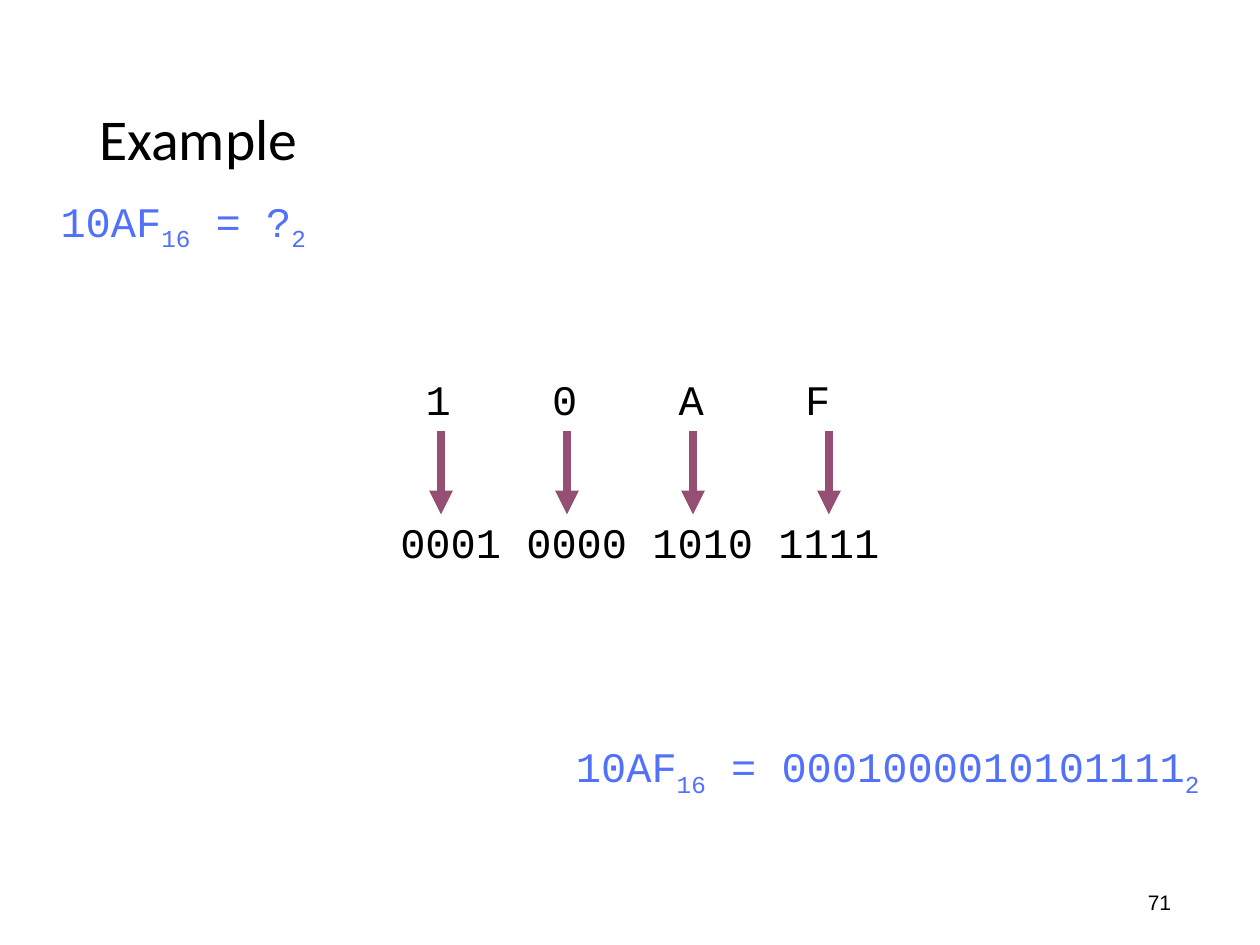
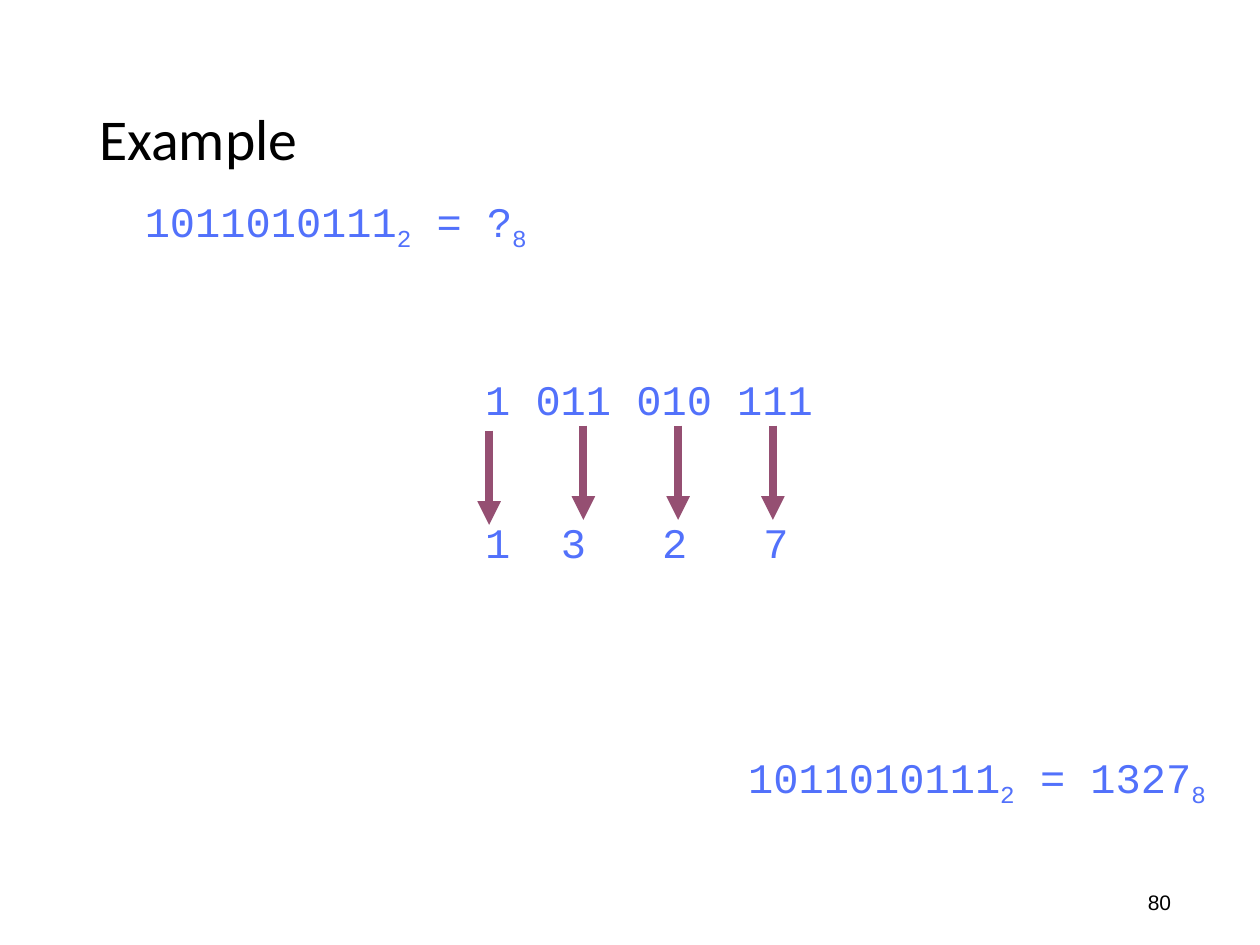
from lxml import etree
from pptx import Presentation
from pptx import util as u
from pptx.dml.color import RGBColor
from pptx.enum import shapes, text
from pptx.oxml import ns

BLACK, BLUE, PLUM = "000000", "5271FB", "954F72"
MONO = "Courier New"
CHAR_WIDTH = 0.51
CENTER, RIGHT = text.PP_ALIGN.CENTER, text.PP_ALIGN.RIGHT


def rgb(color):
    """Turn a hex string into a colour."""
    return RGBColor.from_string(color)


def add_box(slide, left, top, width, height, wrap=True):
    """Add an empty text box, measured in centimetres, and return its frame."""
    sp = slide.shapes.add_textbox(u.Cm(left), u.Cm(top), u.Cm(width), u.Cm(height))
    tf = sp.text_frame
    tf.word_wrap = wrap
    return tf


def add_run(p, content, size=24, font=MONO, color=BLUE, subscript=False):
    """Append one styled run to a paragraph."""
    r = p.add_run()
    r.text = content
    r.font.size = u.Pt(size)
    r.font.name = font
    r.font.color.rgb = rgb(color)
    if subscript:
        r.font._element.set("baseline", "-25000")


def add_tab_stops(p, columns):
    """Set left tab stops at the given character columns."""
    tabs = etree.SubElement(p._p.get_or_add_pPr(), ns.qn("a:tabLst"))
    for column in columns:
        pos = u.Cm(column * CHAR_WIDTH)
        etree.SubElement(tabs, ns.qn("a:tab"), pos=str(int(pos)), algn="l")


def add_title(slide, title):
    """Add the slide title."""
    tf = add_box(slide, 1.75, 1.02, 21.89, 3.68)
    tf.vertical_anchor = text.MSO_ANCHOR.MIDDLE
    p = tf.paragraphs[0]
    p.line_spacing = 0.9
    add_run(p, title, 33, "Calibri", BLACK)


def add_number(slide, number):
    """Add the slide number in the lower right corner."""
    tf = add_box(slide, 22.89, 17.81, 1.02, 0.76, wrap=False)
    add_run(tf.paragraphs[0], number, 12, "Arial", BLACK)


def add_equation(slide, left, top, width, parts, align=CENTER):
    """Add an equation whose parts alternate between digits and base subscripts."""
    p = add_box(slide, left, top, width, 1.27).paragraphs[0]
    p.alignment = align
    for i, part in enumerate(parts):
        add_run(p, part, subscript=i % 2 == 1)


def add_digit_rows(slide, left, width, rows, color):
    """Add the two matching digit rows, each with its tab columns."""
    tf = add_box(slide, left, 7.4, width, 4.32)
    for i, (content, columns) in enumerate(rows):
        p = tf.add_paragraph() if i else tf.paragraphs[0]
        if i:
            p.space_before = u.Pt(53)
        if columns:
            add_tab_stops(p, columns)
        add_run(p, content, color=color)


def add_arrow(slide, x, top, bottom):
    """Add a thick downward arrow."""
    sp = slide.shapes.add_connector(
        shapes.MSO_CONNECTOR.STRAIGHT, u.Cm(x), u.Cm(top), u.Cm(x), u.Cm(bottom))
    sp.line.color.rgb = rgb(PLUM)
    sp.line.width = u.Pt(4.5)
    etree.SubElement(sp.line._get_or_add_ln(), ns.qn("a:tailEnd"), type="triangle")
    etree.SubElement(sp._element.spPr, ns.qn("a:effectLst"))


def add_example(prs, number):
    """Add a blank slide with the shared title and number."""
    slide = prs.slides.add_slide(prs.slide_layouts[6])
    add_title(slide, "Example")
    add_number(slide, number)
    return slide


def add_hex_to_binary(prs):
    """Build the hexadecimal to binary example."""
    slide = add_example(prs, "71")
    add_equation(slide, 0.84, 3.81, 5.71, ["10AF", "16", " = ?", "2"])
    rows = [("\t1\t0\tA\tF", [1, 6, 11, 16]), ("0001 0000 1010 1111", [])]
    add_digit_rows(slide, 7.82, 10.59, rows, BLACK)
    for x in (8.89, 11.43, 13.97, 16.71):
        add_arrow(slide, x, 8.68, 10.37)
    add_equation(slide, 11.23, 14.81, 13.33,
                 ["10AF", "16", " = 0001000010101111", "2"])


def add_binary_to_octal(prs):
    """Build the binary to octal example."""
    slide = add_example(prs, "80")
    add_equation(slide, 0.84, 3.81, 11.86, ["1011010111", "2", " = ?", "8"])
    rows = [("1 011 010 111", []), ("1\t3\t2\t7", [3, 7, 11])]
    add_digit_rows(slide, 9.53, 11.86, rows, BLUE)
    add_arrow(slide, 9.86, 8.68, 10.58)
    for i in range(3):
        add_arrow(slide, 11.76 + 1.91 * i, 8.58, 10.48)
    add_equation(slide, 12.7, 15.02, 11.86,
                 ["1011010111", "2", " = 1327", "8"], RIGHT)


def main():
    """Build and save the presentation."""
    prs = Presentation()
    prs.slide_width, prs.slide_height = u.Cm(25.4), u.Cm(19.05)
    add_hex_to_binary(prs)
    add_binary_to_octal(prs)
    prs.save("out.pptx")


if __name__ == "__main__":
    main()
